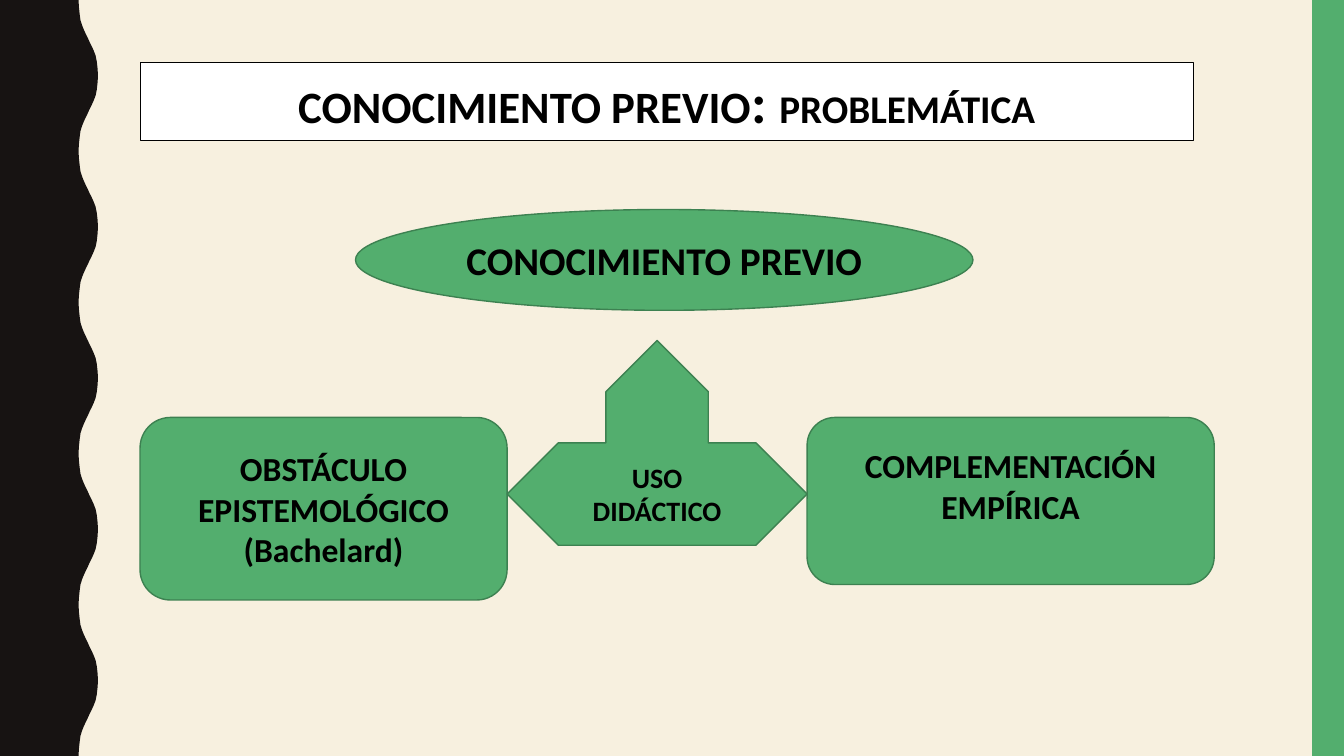
"""Build the slide on prior knowledge and its didactic use."""
from pptx import Presentation
from pptx import util as u
from pptx.dml.color import RGBColor
from pptx.enum import shapes, text

Cm, Pt = u.Cm, u.Pt
KIND = shapes.MSO_SHAPE
HUES = {"back": "F7F0DF", "dark": "171312", "green": "53AE6E",
        "edge": "3D8151", "white": "FFFFFF", "black": "000000"}
WIDE, HIGH = 33.87, 19.05

TITLE = [("CONOCIMIENTO PREVIO", 32), (": ", 40), ("PROBLEMÁTICA", 28)]
NODES = [
    (KIND.OVAL, (8.96, 5.28, 15.56, 2.54), 28, 0.13, ["CONOCIMIENTO PREVIO"]),
    (KIND.ROUNDED_RECTANGLE, (3.53, 10.52, 9.25, 4.6), 24, 0.13,
     ["OBSTÁCULO", "EPISTEMOLÓGICO", "(Bachelard)"]),
    (KIND.ROUNDED_RECTANGLE, (20.34, 10.52, 10.26, 4.21), 24, 0.9,
     ["COMPLEMENTACIÓN", "EMPÍRICA"]),
    (KIND.LEFT_RIGHT_UP_ARROW, (12.78, 8.58, 7.56, 5.16), 20, 0.13,
     ["USO", "DIDÁCTICO"]),
]
WAVES = 5
HALF = [(1.98, 0), (1.99, 0.18), (2.01, 0.36), (2.03, 0.51), (2.07, 0.64),
        (2.11, 0.74), (2.16, 0.85), (2.21, 0.95), (2.26, 1.06), (2.31, 1.16),
        (2.36, 1.27), (2.41, 1.4), (2.44, 1.55), (2.46, 1.73), (2.47, 1.9)]


def hue(name):
    return RGBColor.from_string(HUES[name])


def paint(shape, fill, edge=None, width=1):
    shape.fill.solid()
    shape.fill.fore_color.rgb = hue(fill)
    if edge:
        shape.line.color.rgb = hue(edge)
        shape.line.width = Pt(width)
    else:
        shape.line.fill.background()


def style(para, size=None):
    para.alignment = text.PP_ALIGN.CENTER
    para.font.name = "Calibri"
    para.font.bold = True
    para.font.color.rgb = hue("black")
    if size:
        para.font.size = Pt(size)


def add(kind, box, fill, edge=None):
    shape = slide.shapes.add_shape(kind, *map(Cm, box))
    shape.shadow.inherit = False
    paint(shape, fill, edge)
    return shape


deck = Presentation()
deck.slide_width, deck.slide_height = Cm(WIDE), Cm(HIGH)
slide = deck.slides.add_slide(deck.slide_layouts[5])
slide.background.fill.solid()
slide.background.fill.fore_color.rgb = hue("back")

step = HIGH / WAVES
cycle = HALF + [(x, step - y) for x, y in reversed(HALF)]
curve = [(Cm(x), Cm(k * step + y)) for k in range(WAVES) for x, y in cycle]
pen = slide.shapes.build_freeform(0, 0)
pen.add_line_segments(curve + [(0, Cm(HIGH))], close=True)
wave = pen.convert_to_shape()
wave.shadow.inherit = False
paint(wave, "dark")
add(KIND.RECTANGLE, (33.07, 0, 0.8, HIGH), "green")

title = slide.shapes.title
title.left, title.top, title.width, title.height = map(
    Cm, (3.53, 1.57, 26.54, 1.96))
paint(title, "white", "black", 0.75)
frame = title.text_frame
frame.auto_size = text.MSO_AUTO_SIZE.NONE
frame.vertical_anchor = text.MSO_ANCHOR.TOP
style(frame.paragraphs[0])
for words, size in TITLE:
    run = frame.paragraphs[0].add_run()
    run.text = words
    run.font.size = Pt(size)

for kind, box, size, base, lines in NODES:
    node = add(kind, box, "green", "edge")
    frame = node.text_frame
    frame.vertical_anchor = text.MSO_ANCHOR.MIDDLE
    frame.margin_bottom = Cm(base)
    frame.text = "\n".join(lines)
    for para in frame.paragraphs:
        style(para, size)
    if kind == KIND.LEFT_RIGHT_UP_ARROW:
        for i, part in enumerate((0.5, 0.25, 0.25)):
            node.adjustments[i] = part

deck.save("out.pptx")
